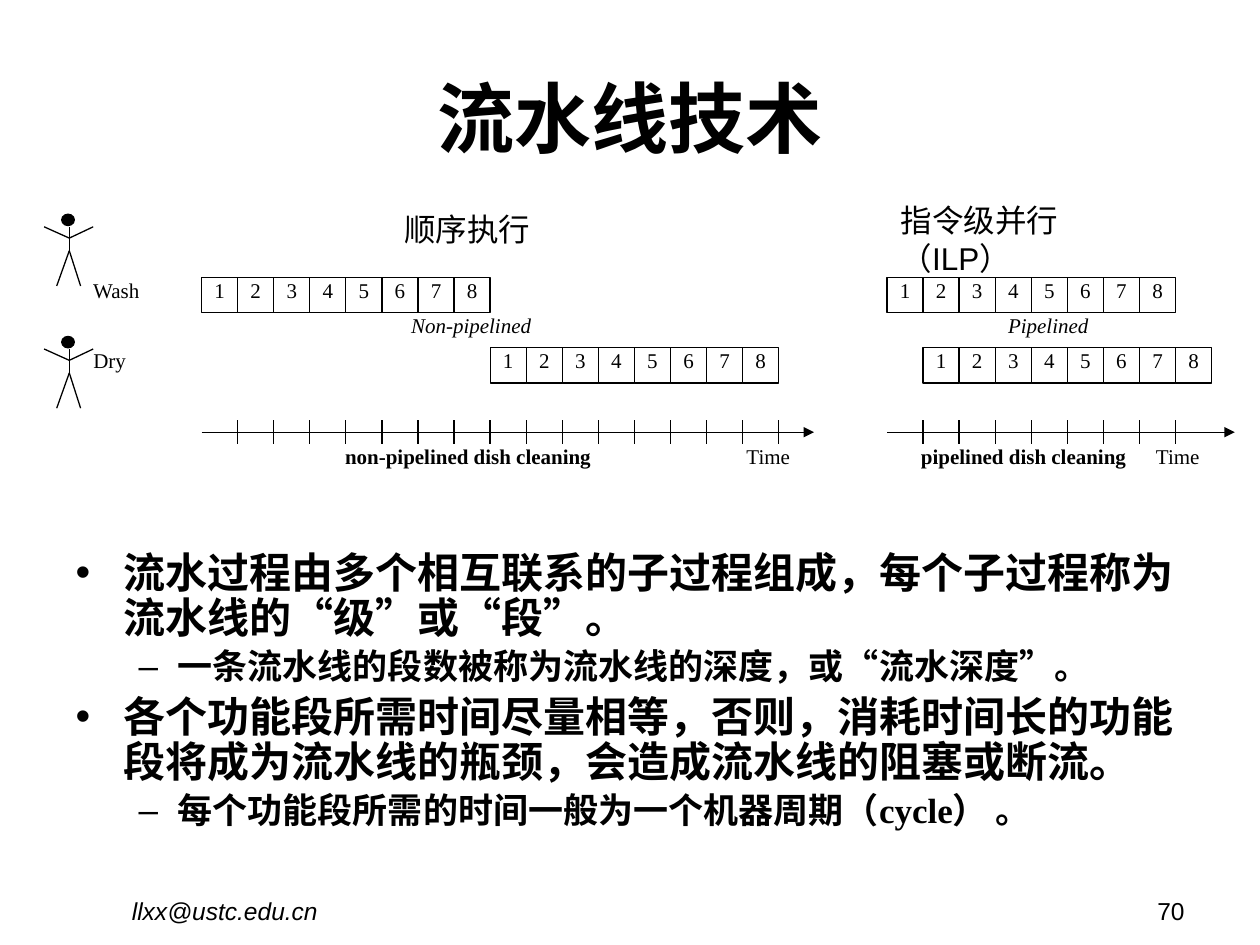
"""Build the slide on pipelining, with a dish-cleaning diagram and notes on stages."""
import lxml.etree
import pptx
import pptx.dml.color
import pptx.enum.shapes
import pptx.enum.text
import pptx.oxml.ns
import pptx.util

Inches, Pt = pptx.util.Inches, pptx.util.Pt
qn = pptx.oxml.ns.qn
ALIGN = pptx.enum.text.PP_ALIGN
ANCHOR = pptx.enum.text.MSO_ANCHOR
SHAPE = pptx.enum.shapes.MSO_SHAPE

THEME = {
    "ink": pptx.dml.color.RGBColor(0, 0, 0),
    "paper": pptx.dml.color.RGBColor(255, 255, 255),
    "sans": "Arial", "serif": "Times New Roman", "chinese": "Noto Sans CJK SC",
    "title": 44, "bullets": (24, 20), "heading": 18, "footer": 14, "label": 12,
    "line": 0.75,
}
SERIF_PARTS = ("“", "”", "cycle")

TITLE = "流水线技术"
BULLETS = [
    (0, ["流水过程由多个相互联系的子过程组成，每个子过程称为流水线的",
         "“", "级", "”", "或", "“", "段", "”", "。"]),
    (1, ["一条流水线的段数被称为流水线的深度，或", "“", "流水深度", "”", "。"]),
    (0, ["各个功能段所需时间尽量相等，否则，消耗时间长的功能段将成为流水线的瓶颈，"
         "会造成流水线的阻塞或断流。"]),
    (1, ["每个功能段所需的时间一般为一个机器周期（", "cycle", "） 。"]),
]
BULLET_STYLES = [("•", 0.38, -0.38), ("–", 0.81, -0.31)]

DISHES = 8
CELL = 2.29 / DISHES
CELL_HEIGHT = 0.28
WASH_TOP, DRY_TOP, AXIS_Y, TICK = 2.2, 2.76, 3.43, 0.19
TIMELINES = [
    {"left": 1.6, "delay": 8, "ticks": 16, "end": 6.46},
    {"left": 7.04, "delay": 1, "ticks": 8, "end": 9.8},
]
WORKER_TOPS = [1.7, 2.67]
LIMBS = [
    ((0, 0.1), (0, 0.29)),
    ((0, 0.19), (-0.2, 0.1)), ((0, 0.19), (0.19, 0.1)),
    ((0, 0.29), (-0.1, 0.57)), ((0, 0.29), (0.09, 0.57)),
]
LABELS = [
    ("Wash", (0.74, 2.2, 0.76, 0.28), ALIGN.LEFT, {}),
    ("Dry", (0.74, 2.76, 0.48, 0.38), ALIGN.LEFT, {}),
    ("Time", (4.84, 3.52, 1.43, 0.28), ALIGN.RIGHT, {}),
    ("Time", (8.09, 3.52, 1.43, 0.28), ALIGN.RIGHT, {}),
    ("Non-pipelined", (2.93, 2.48, 1.62, 0.28), ALIGN.CENTER, {"italic": True}),
    ("Pipelined", (7.51, 2.48, 1.62, 0.28), ALIGN.CENTER, {"italic": True}),
    ("non-pipelined dish cleaning", (2.59, 3.52, 2.25, 0.28), ALIGN.CENTER, {"bold": True}),
    ("pipelined dish cleaning", (7.21, 3.52, 1.83, 0.28), ALIGN.CENTER, {"bold": True}),
]
HEADINGS = [
    ("顺序执行", (3.11, 1.62, 1.2, 0.4), False, 0.1),
    ("指令级并行（ILP）", (7.05, 1.55, 2.33, 0.4), True, 0.9),
]
FOOTERS = [
    ("llxx@ustc.edu.cn", (0.2, 7.06, 3.17, 0.29), ALIGN.CENTER, {"italic": True}),
    ("70", (7.17, 7.06, 2.33, 0.29), ALIGN.RIGHT, {}),
]


def style_font(font, size, name, bold=False, italic=False):
    font.size, font.name, font.bold, font.italic = Pt(size), name, bold, italic
    font.color.rgb = THEME["ink"]


def write(shape, text, size, name, align, **emphasis):
    paragraph = shape.text_frame.paragraphs[0]
    paragraph.text = text
    paragraph.alignment = align
    style_font(paragraph.font, size, name, **emphasis)


def set_insets(frame, inset):
    frame.margin_left = frame.margin_right = Inches(inset)
    frame.margin_top = frame.margin_bottom = Inches(inset)


def add_textbox(slide, box, wrap=True):
    shape = slide.shapes.add_textbox(*map(Inches, box))
    shape.text_frame.word_wrap = wrap
    return shape


def add_shape(slide, kind, box, fill):
    shape = slide.shapes.add_shape(kind, *map(Inches, box))
    shape.shadow.inherit = False
    shape.fill.solid()
    shape.fill.fore_color.rgb = fill
    shape.line.color.rgb = THEME["ink"]
    shape.line.width = Pt(THEME["line"])
    return shape


def add_line(slide, start, end, arrow=False):
    line = slide.shapes.add_connector(
        pptx.enum.shapes.MSO_CONNECTOR.STRAIGHT, *map(Inches, (*start, *end)))
    line.line.color.rgb = THEME["ink"]
    line.line.width = Pt(THEME["line"])
    properties = line._element.spPr
    if arrow:
        lxml.etree.SubElement(properties.find(qn("a:ln")), qn("a:tailEnd"), type="triangle")
    lxml.etree.SubElement(properties, qn("a:effectLst"))


def add_worker(slide, top, center=0.55):
    add_shape(slide, SHAPE.OVAL, (center - 0.06, top, 0.1, 0.09), THEME["ink"])
    for limb in LIMBS:
        add_line(slide, *[(center + x, top + y) for x, y in limb])


def add_timeline(slide, left, delay, ticks, end):
    for row_left, top in ((left, WASH_TOP), (left + delay * CELL, DRY_TOP)):
        for dish in range(DISHES):
            box = (row_left + dish * CELL, top, CELL, CELL_HEIGHT)
            cell = add_shape(slide, SHAPE.RECTANGLE, box, THEME["paper"])
            set_insets(cell.text_frame, 0)
            cell.text_frame.vertical_anchor = ANCHOR.TOP
            write(cell, str(dish + 1), THEME["label"], THEME["serif"], ALIGN.CENTER)
    add_line(slide, (left, AXIS_Y), (end, AXIS_Y), arrow=True)
    for tick in range(1, ticks + 1):
        x = left + tick * CELL
        add_line(slide, (x, AXIS_Y - TICK / 2), (x, AXIS_Y + TICK / 2))


def place(shape, box):
    shape.left, shape.top, shape.width, shape.height = map(Inches, box)
    shape.text_frame.auto_size = pptx.enum.text.MSO_AUTO_SIZE.NONE


def fill_body(body):
    frame = body.text_frame
    for index, (level, parts) in enumerate(BULLETS):
        paragraph = frame.add_paragraph() if index else frame.paragraphs[0]
        mark, margin, indent = BULLET_STYLES[level]
        size = THEME["bullets"][level]
        paragraph.level = level
        properties = paragraph._p.get_or_add_pPr()
        properties.set("marL", str(Inches(margin)))
        properties.set("indent", str(Inches(indent)))
        lxml.etree.SubElement(properties, qn("a:buChar"), char=mark)
        paragraph.alignment = ALIGN.LEFT
        paragraph.line_spacing = 0.9
        paragraph.space_before = Pt(0.2 * size if index else 0)
        for part in parts:
            run = paragraph.add_run()
            run.text = part
            name = THEME["serif" if part in SERIF_PARTS else "chinese"]
            style_font(run.font, size, name, bold=True)
            latin = run._r.rPr.find(qn("a:latin"))
            latin.addnext(latin.makeelement(qn("a:ea"), {"typeface": THEME["chinese"]}))


def main():
    presentation = pptx.Presentation()
    presentation.slide_width, presentation.slide_height = Inches(10), Inches(7.5)
    slide = presentation.slides.add_slide(presentation.slide_layouts[1])
    title, body = slide.placeholders
    place(title, (0.5, 0.3, 9, 1.25))
    title.text_frame.vertical_anchor = ANCHOR.MIDDLE
    write(title, TITLE, THEME["title"], THEME["sans"], ALIGN.CENTER, bold=True)
    place(body, (0.5, 4.33, 9, 2.53))
    fill_body(body)

    for top in WORKER_TOPS:
        add_worker(slide, top)
    for timeline in TIMELINES:
        add_timeline(slide, **timeline)
    for text, box, align, emphasis in LABELS:
        label = add_textbox(slide, box)
        set_insets(label.text_frame, 0)
        write(label, text, THEME["label"], THEME["serif"], align, **emphasis)
    for text, box, wrap, right_inset in HEADINGS:
        heading = add_textbox(slide, box, wrap)
        heading.text_frame.margin_right = Inches(right_inset)
        write(heading, text, THEME["heading"], THEME["sans"], ALIGN.LEFT)
    for text, box, align, emphasis in FOOTERS:
        write(add_textbox(slide, box), text, THEME["footer"], THEME["sans"], align, **emphasis)
    presentation.save("out.pptx")


if __name__ == "__main__":
    main()
